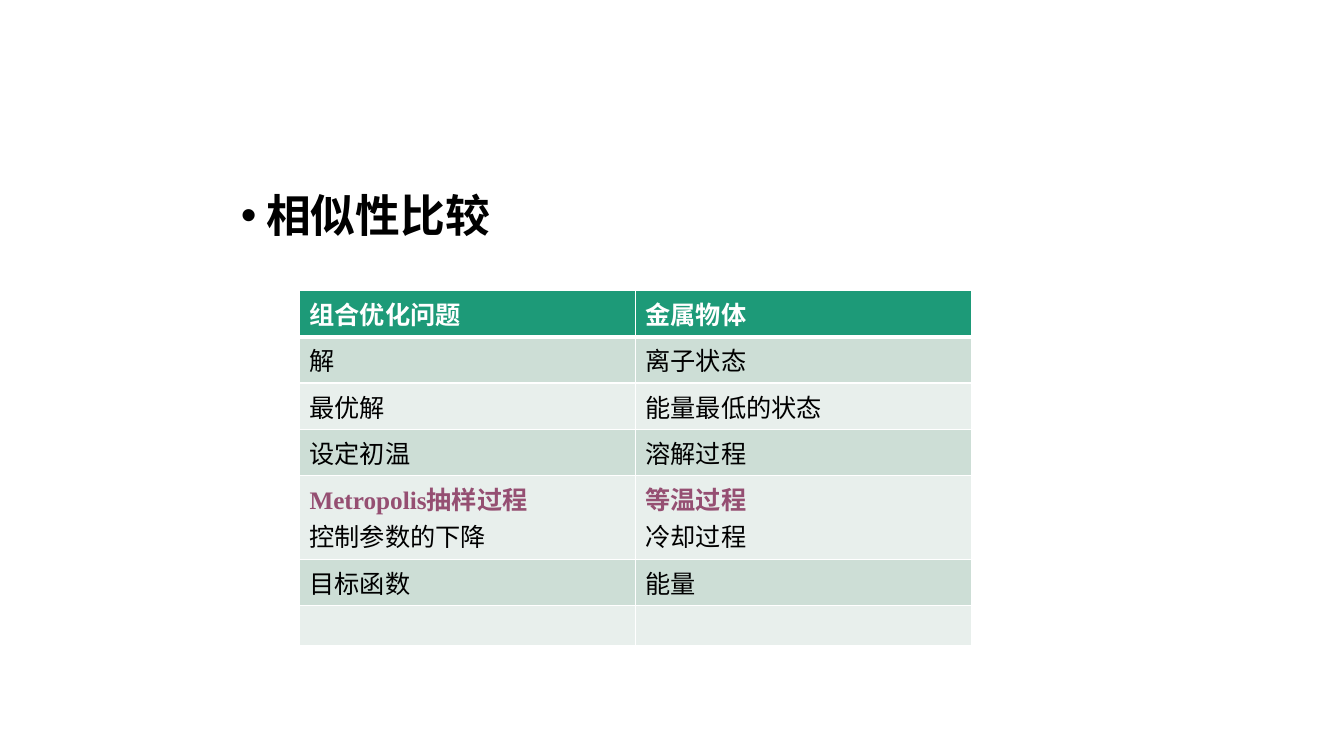
from lxml.etree import SubElement
from pptx import Presentation
from pptx.dml.color import RGBColor
from pptx.enum.text import MSO_ANCHOR
from pptx.oxml.ns import qn
from pptx.util import Inches, Pt

COLORS = {
    "text": "000000",
    "white": "FFFFFF",
    "accent": "954F72",
    "header": "1D9A78",
    "band_dark": "CDDED6",
    "band_light": "E8EFEC",
}
BODY_FONT = "Calibri"
SERIF_FONT = "Times New Roman"

HEADER = ["组合优化问题", "金属物体"]
ROWS = [
    ["解", "离子状态"],
    ["最优解", "能量最低的状态"],
    ["设定初温", "溶解过程"],
    ["Metropolis抽样过程\n控制参数的下降", "等温过程\n冷却过程"],
    ["目标函数", "能量"],
    ["", ""],
]
HIGHLIGHTS = {"Metropolis抽样过程", "等温过程"}
# Row heights by number of text lines, as shares of the slide's height
ROW_HEIGHTS = {0: 0.4 / 7.5, 1: 0.46 / 7.5, 2: 0.83 / 7.5}


def write(para, text, font=BODY_FONT, size=18, color="text", bold=False):
    span = para.add_run()
    span.text = text
    span.font.name = font
    span.font.size = Pt(size)
    span.font.bold = bold
    span.font.color.rgb = RGBColor.from_string(COLORS[color])


class SlideBuilder:
    """Holds the deck and its slide; lengths are shares of the slide's size."""

    def __init__(self, width=13.33, height=7.5):
        self.deck = Presentation()
        self.deck.slide_width = Inches(width)
        self.deck.slide_height = Inches(height)
        self.page = self.deck.slides.add_slide(self.deck.slide_layouts[6])

    def across(self, share):
        return round(self.deck.slide_width * share)

    def down(self, share):
        return round(self.deck.slide_height * share)

    def frame(self, left, top, width, height):
        return self.across(left), self.down(top), self.across(width), self.down(height)

    def bullet(self, text, area, **style):
        box = self.page.shapes.add_textbox(*self.frame(*area))
        box.text_frame.word_wrap = True
        para = box.text_frame.paragraphs[0]
        para.line_spacing = 0.8
        properties = para._p.get_or_add_pPr()
        properties.set("marL", str(Inches(0.25)))
        properties.set("indent", str(-Inches(0.25)))
        SubElement(properties, qn("a:buFont"), typeface="Arial")
        SubElement(properties, qn("a:buChar"), char="•")
        write(para, text, **style)

    def table(self, header, rows, left, top, width):
        lines = [max(len(text.splitlines()) for text in texts) for texts in [header] + rows]
        heights = [ROW_HEIGHTS[count] for count in lines]
        grid = self.page.shapes.add_table(
            len(heights), len(header), *self.frame(left, top, width, sum(heights))).table
        for row_index, texts in enumerate([header] + rows):
            is_header = row_index == 0
            grid.rows[row_index].height = self.down(heights[row_index])
            band = "band_dark" if row_index % 2 else "band_light"
            for column_index, text in enumerate(texts):
                cell = grid.cell(row_index, column_index)
                self.fill_cell(cell, text, "header" if is_header else band, is_header)
                self.borders(cell, top=3 if row_index == 1 else 1,
                             bottom=3 if is_header else 1)

    def fill_cell(self, cell, text, fill, is_header):
        cell.vertical_anchor = MSO_ANCHOR.TOP
        cell.fill.solid()
        cell.fill.fore_color.rgb = RGBColor.from_string(COLORS[fill])
        for index, line in enumerate(text.splitlines()):
            frame = cell.text_frame
            para = frame.add_paragraph() if index else frame.paragraphs[0]
            if line in HIGHLIGHTS:
                write(para, line, font=SERIF_FONT, color="accent", bold=True)
            else:
                write(para, line, color="white" if is_header else "text", bold=is_header)

    def borders(self, cell, top, bottom):
        properties = cell._tc.get_or_add_tcPr()
        sides = {"lnL": 1, "lnR": 1, "lnT": top, "lnB": bottom}
        for position, (side, weight) in enumerate(sides.items()):
            line = SubElement(properties, qn(f"a:{side}"), w=str(Pt(weight)))
            fill = SubElement(line, qn("a:solidFill"))
            SubElement(fill, qn("a:srgbClr"), val=COLORS["white"])
            properties.insert(position, line)  # borders precede the cell fill


def main():
    builder = SlideBuilder()
    # Heading
    builder.bullet("相似性比较", (2.29 / 13.33, 1.92 / 7.5, 8.75 / 13.33, 0.57 / 7.5),
                   font=SERIF_FONT, size=32, bold=True)
    # Comparison table
    builder.table(HEADER, ROWS, left=2.97 / 13.33, top=2.88 / 7.5, width=0.5)
    builder.deck.save("out.pptx")


if __name__ == "__main__":
    main()
